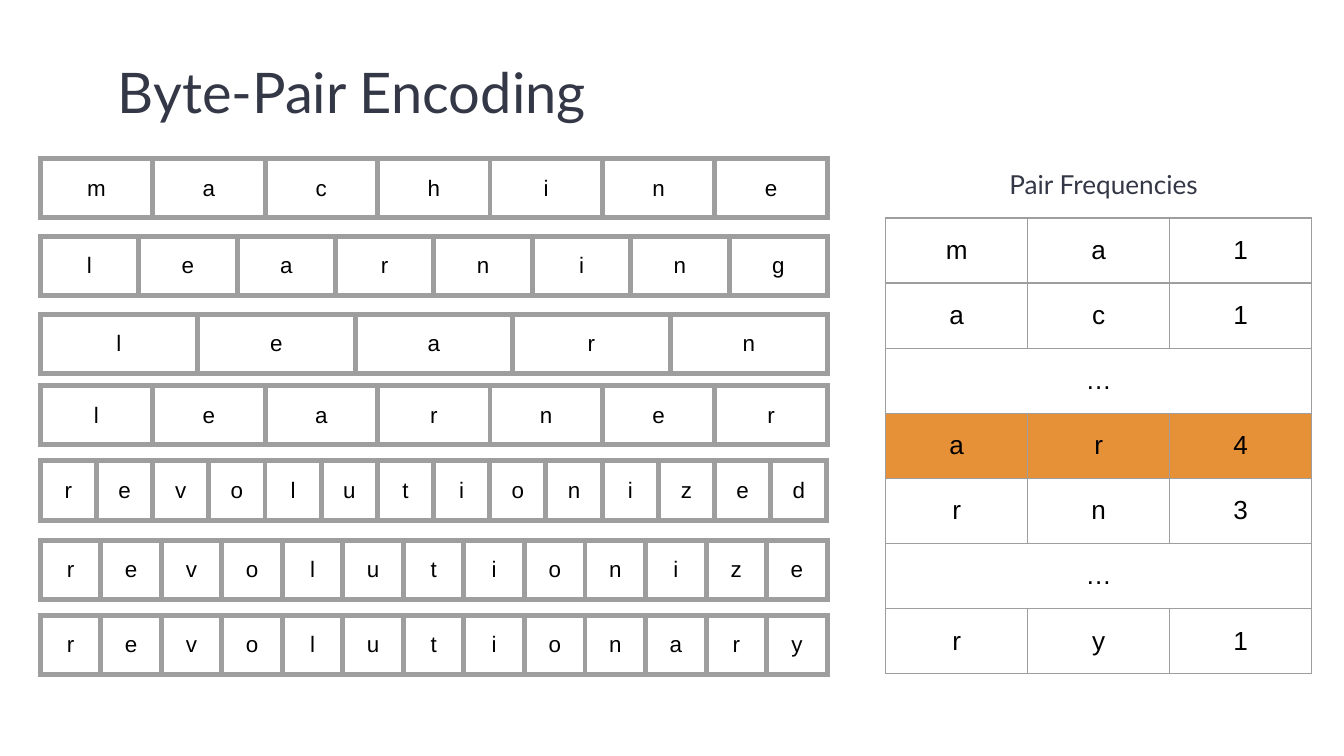
from dataclasses import dataclass
from lxml.etree import SubElement
from pptx import Presentation
from pptx.dml.color import RGBColor
from pptx.enum.text import MSO_ANCHOR, PP_ALIGN
from pptx.oxml.ns import qn
from pptx.util import Cm, Pt

BLACK = RGBColor(0x00, 0x00, 0x00)
NAVY = RGBColor(0x33, 0x37, 0x46)
GRAY = RGBColor(0x9E, 0x9E, 0x9E)
AMBER = RGBColor(0xE6, 0x91, 0x38)
INSET = Cm(0.25)


@dataclass
class Grid:
    rows: list[str]
    left: float
    top: float
    width: float
    height: float
    size: int
    line: float
    accent: int = -1


@dataclass
class Label:
    text: str
    left: float
    top: float
    width: float
    height: float
    size: int
    align: PP_ALIGN


def write(frame, text: str, *, size: int, font: str = "Arial",
          color: RGBColor = BLACK, align: PP_ALIGN = PP_ALIGN.CENTER,
          space: float | None = None) -> None:
    para = frame.paragraphs[0]
    para.alignment = align
    para.line_spacing = space
    run = para.add_run()
    run.text = text
    run.font.name = font
    run.font.size = Pt(size)
    run.font.color.rgb = color


def inset(item) -> None:
    item.margin_left = item.margin_right = INSET
    item.margin_top = item.margin_bottom = INSET


def border(cell, width: float) -> None:
    props = cell._tc.get_or_add_tcPr()
    for place, side in enumerate(("lnL", "lnR", "lnT", "lnB")):
        line = SubElement(props, qn(f"a:{side}"), w=str(Pt(width)))
        props.insert(place, line)
        fill = SubElement(line, qn("a:solidFill"))
        SubElement(fill, qn("a:srgbClr"), val=str(GRAY))


def draw_grid(slide, grid: Grid) -> None:
    count = len(grid.rows)
    cols = max(len(row) for row in grid.rows)
    table = slide.shapes.add_table(
        count, cols, Cm(grid.left), Cm(grid.top),
        Cm(grid.width), Cm(grid.height)).table
    table.first_row = table.horz_banding = False
    for r, row in enumerate(grid.rows):
        for c in range(cols):
            cell = table.cell(r, c)
            inset(cell)
            cell.vertical_anchor = MSO_ANCHOR.MIDDLE
            if r == grid.accent:
                cell.fill.solid()
                cell.fill.fore_color.rgb = AMBER
            else:
                cell.fill.background()
            border(cell, grid.line)
            if c < len(row):
                write(cell.text_frame, row[c], size=grid.size)
        if len(row) < cols:
            table.cell(r, 0).merge(table.cell(r, cols - 1))


def draw_label(slide, label: Label) -> None:
    box = slide.shapes.add_textbox(Cm(label.left), Cm(label.top),
                                   Cm(label.width), Cm(label.height))
    frame = box.text_frame
    frame.word_wrap = True
    inset(frame)
    write(frame, label.text, size=label.size, font="Lato", color=NAVY,
          align=label.align, space=1.15)


WORDS = {
    "machine": 3.0,
    "learning": 4.47,
    "learn": 5.94,
    "learner": 7.29,
    "revolutionized": 8.71,
    "revolutionize": 10.21,
    "revolutionary": 11.63,
}
PAIRS = ["ma1", "ac1", "…", "ar4", "rn3", "…", "ry1"]
LABELS = [
    Label("Byte-Pair Encoding", 1.98, 0.64, 21.08, 1.96, 30, PP_ALIGN.LEFT),
    Label("Pair Frequencies", 18.36, 2.84, 5, 1.12, 14, PP_ALIGN.CENTER),
]


def main() -> None:
    deck = Presentation()
    deck.slide_width = Cm(25.4)
    deck.slide_height = Cm(14.29)
    slide = deck.slides.add_slide(deck.slide_layouts[6])
    for label in LABELS:
        draw_label(slide, label)
    for word, top in WORDS.items():
        draw_grid(slide, Grid([word], 0.76, top, 14.88, 1.12, 12, 3))
    draw_grid(slide, Grid(PAIRS, 16.74, 4.12, 8.05, 8.61, 14, 0.75,
                          accent=PAIRS.index("ar4")))
    deck.save("out.pptx")


if __name__ == "__main__":
    main()
